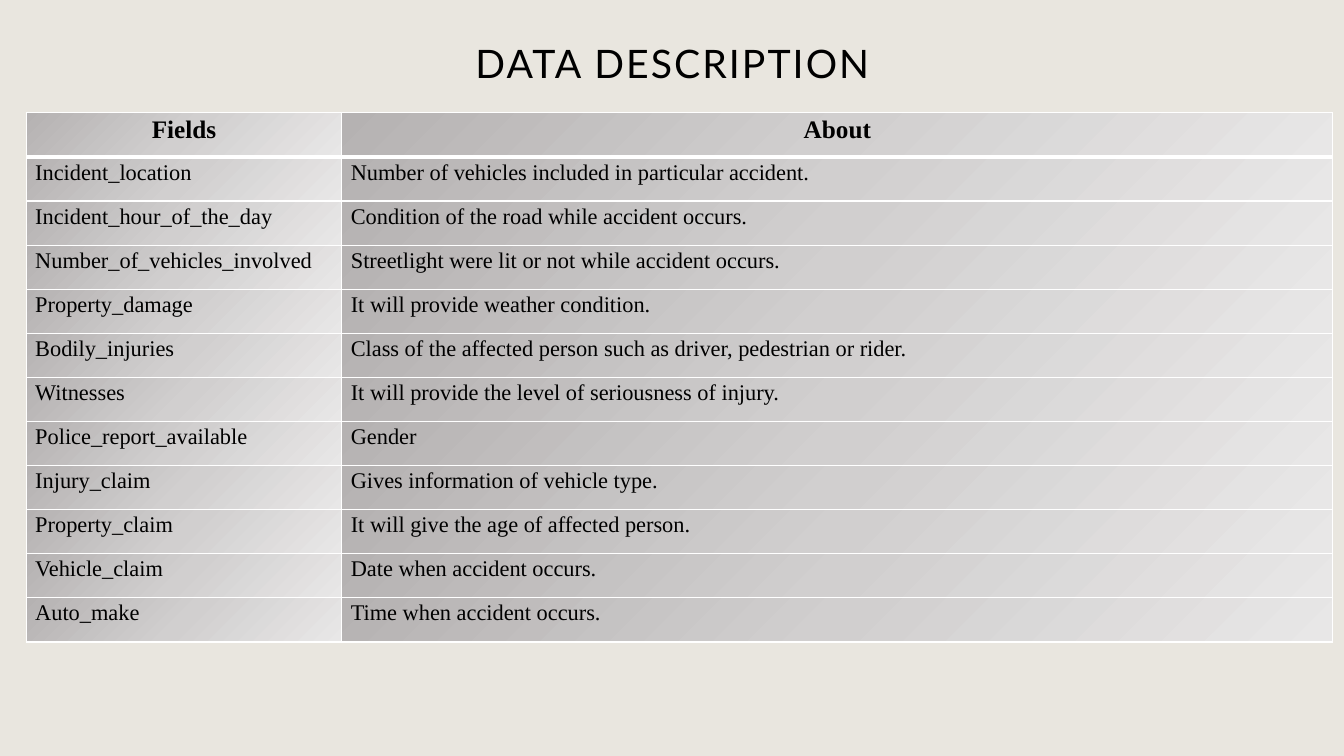
from lxml.etree import SubElement
from pptx import Presentation
from pptx.dml.color import RGBColor
from pptx.enum.text import MSO_ANCHOR, PP_ALIGN
from pptx.oxml.ns import qn
from pptx.util import Inches, Pt

TITLE = "DATA DESCRIPTION"
ROWS = [
    ("Fields", "About"),
    ("Incident_location", "Number of vehicles included in particular accident."),
    ("Incident_hour_of_the_day", "Condition of the road while accident occurs."),
    ("Number_of_vehicles_involved", "Streetlight were lit or not while accident occurs."),
    ("Property_damage", "It will provide weather condition."),
    ("Bodily_injuries", "Class of the affected person such as driver, pedestrian or rider."),
    ("Witnesses", "It will provide the level of seriousness of injury."),
    ("Police_report_available", "Gender"),
    ("Injury_claim", "Gives information of vehicle type."),
    ("Property_claim", "It will give the age of affected person."),
    ("Vehicle_claim", "Date when accident occurs."),
    ("Auto_make", "Time when accident occurs."),
]
COLORS = {"background": "E9E6DF", "text": "000000", "border": "FFFFFF",
          "dark": "B5B2B2", "middle": "D1CFCF", "light": "E8E7E7"}
GRADIENT = [(0, "dark"), (50, "middle"), (100, "light")]
COLUMN_WIDTHS = [3.13, 9.83]
TABLE_LEFT, TABLE_TOP, TABLE_HEIGHT = 0.26, 1.12, 5.25


def style_font(font, name, size, bold=False):
    font.name, font.size, font.bold = name, Pt(size), bold
    font.color.rgb = RGBColor.from_string(COLORS["text"])


def add_color(parent, key):
    SubElement(parent, qn("a:srgbClr"), val=COLORS[key])


def style_cell(cell, is_header, below_header):
    properties = cell._tc.get_or_add_tcPr()
    widths = {"L": 1, "R": 1, "T": 3 if below_header else 1, "B": 3 if is_header else 1}
    for side, width in widths.items():
        line = SubElement(properties, qn(f"a:ln{side}"), w=str(Pt(width)))
        add_color(SubElement(line, qn("a:solidFill")), "border")
    fill = SubElement(properties, qn("a:gradFill"), rotWithShape="1")
    stops = SubElement(fill, qn("a:gsLst"))
    for position, key in GRADIENT:
        add_color(SubElement(stops, qn("a:gs"), pos=str(position * 1000)), key)
    SubElement(fill, qn("a:lin"), ang=str(45 * 60000), scaled="0")


def add_title(page):
    box = page.shapes.add_textbox(Inches(0.92), Inches(0.25), Inches(11.5), Inches(0.8))
    frame = box.text_frame
    frame.word_wrap = True
    frame.vertical_anchor = MSO_ANCHOR.MIDDLE
    para = frame.paragraphs[0]
    para.alignment, para.line_spacing = PP_ALIGN.CENTER, 0.9
    span = para.add_run()
    span.text = TITLE
    style_font(span.font, "Lato", 28)
    span._r.get_or_add_rPr().set("spc", "150")


def add_fields_table(page):
    table = page.shapes.add_table(
        len(ROWS), len(COLUMN_WIDTHS), Inches(TABLE_LEFT), Inches(TABLE_TOP),
        Inches(sum(COLUMN_WIDTHS)), Inches(TABLE_HEIGHT)).table
    table.first_row = table.horz_banding = False
    for column, width in zip(table.columns, COLUMN_WIDTHS):
        column.width = Inches(width)
    for row_index, texts in enumerate(ROWS):
        is_header = row_index == 0
        for column_index, text in enumerate(texts):
            cell = table.cell(row_index, column_index)
            cell.margin_left = cell.margin_right = Inches(0.09)
            cell.margin_top = cell.margin_bottom = Inches(0.03)
            cell.text = text
            para = cell.text_frame.paragraphs[0]
            para.alignment = PP_ALIGN.CENTER if is_header else PP_ALIGN.LEFT
            style_font(para.font, "Times New Roman", 18 if is_header else 16, is_header)
            style_cell(cell, is_header, row_index == 1)


def main():
    deck = Presentation()
    deck.slide_width, deck.slide_height = Inches(13.33), Inches(7.5)
    page = deck.slides.add_slide(deck.slide_layouts[6])
    background = page.background.fill
    background.solid()
    background.fore_color.rgb = RGBColor.from_string(COLORS["background"])
    add_title(page)
    add_fields_table(page)
    deck.save("out.pptx")


if __name__ == "__main__":
    main()
